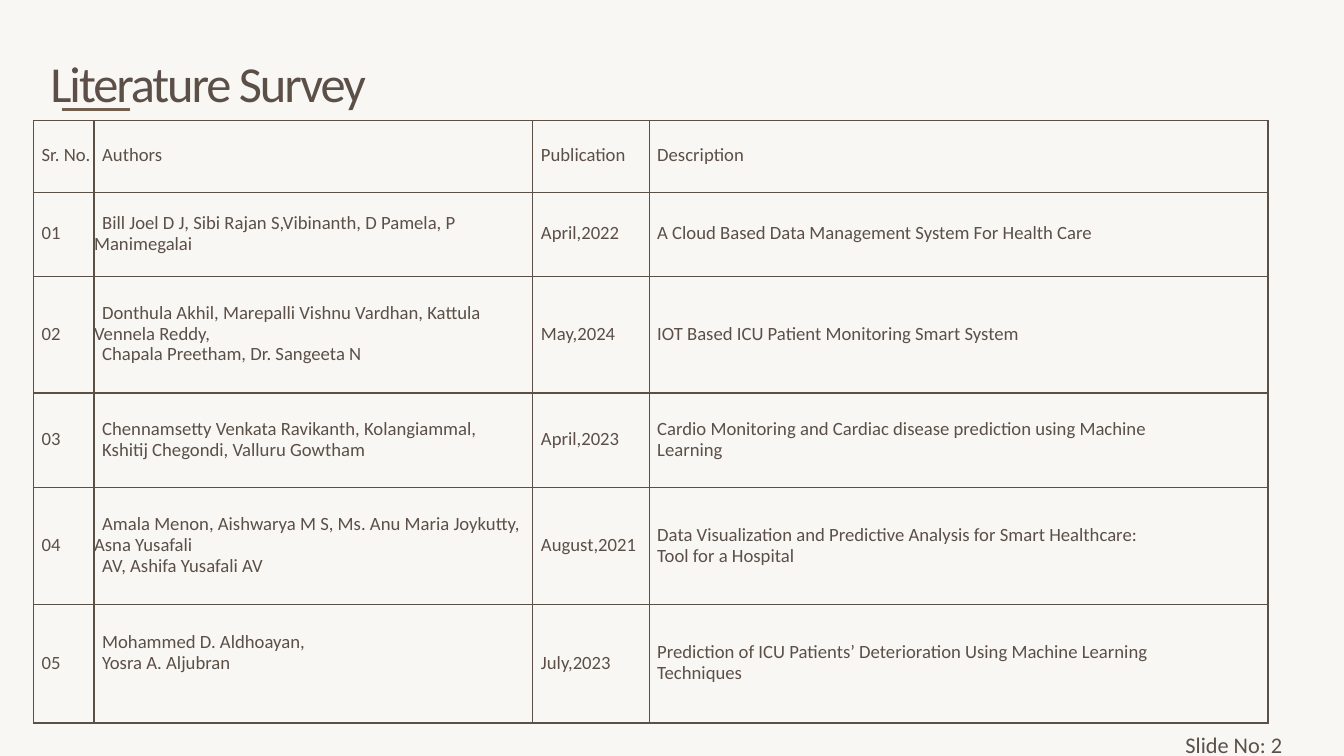
from lxml import etree
from pptx import Presentation
from pptx.dml.color import RGBColor
from pptx.enum.shapes import MSO_CONNECTOR
from pptx.enum.text import MSO_ANCHOR, PP_ALIGN
from pptx.oxml.ns import qn
from pptx.util import Inches, Pt

STRAIGHT = MSO_CONNECTOR.STRAIGHT
MIDDLE = MSO_ANCHOR.MIDDLE
LEFT = PP_ALIGN.LEFT
CENTER = PP_ALIGN.CENTER

FONT = "Calibri"
COLORS = {"background": "F8F7F4", "ink": "5B4F47", "accent": "745E4D"}
COLUMN_WIDTHS = [0.9, 6.53, 1.73, 9.21]
ROW_HEIGHTS = [1.07, 1.25, 1.74, 1.41, 1.74, 1.76]
CELL_LEADING = 22.4
FIRST_LINE_INDENT = 0.12

HEADINGS = ("Sr. No.", "Authors", "Publication", "Description")
PAPERS = [
    ("Bill Joel D J, Sibi Rajan S,Vibinanth, D Pamela, P Manimegalai",
     "April,2022",
     "A Cloud Based Data Management System For Health Care"),
    ("Donthula Akhil, Marepalli Vishnu Vardhan, Kattula Vennela Reddy,\n"
     "Chapala Preetham, Dr. Sangeeta N",
     "May,2024",
     "IOT Based ICU Patient Monitoring Smart System"),
    ("Chennamsetty Venkata Ravikanth, Kolangiammal,\n"
     "Kshitij Chegondi, Valluru Gowtham",
     "April,2023",
     "Cardio Monitoring and Cardiac disease prediction using Machine\nLearning"),
    ("Amala Menon, Aishwarya M S, Ms. Anu Maria Joykutty, Asna Yusafali\n"
     "AV, Ashifa Yusafali AV",
     "August,2021",
     "Data Visualization and Predictive Analysis for Smart Healthcare:\n"
     "Tool for a Hospital"),
    ("Mohammed D. Aldhoayan,\nYosra A. Aljubran",
     "July,2023",
     "Prediction of ICU Patients’ Deterioration Using Machine Learning\n"
     "Techniques"),
]


def color(name):
    """Return the named palette colour."""
    return RGBColor.from_string(COLORS[name])


def clear_margins(holder):
    """Remove the inner margins of a cell or text frame."""
    holder.margin_left = holder.margin_right = 0
    holder.margin_top = holder.margin_bottom = 0


def style_paragraph(paragraph, size, leading, align=LEFT):
    """Apply the slide's type style to a paragraph."""
    paragraph.alignment = align
    paragraph.line_spacing = Pt(leading)
    paragraph.font.name = FONT
    paragraph.font.size = Pt(size)
    paragraph.font.color.rgb = color("ink")


def add_label(slide, text, box, size, leading, align=LEFT, tracking=0):
    """Add a single line of text, with optional tracking in points."""
    frame = slide.shapes.add_textbox(*map(Inches, box)).text_frame
    frame.word_wrap = True
    clear_margins(frame)
    paragraph = frame.paragraphs[0]
    run = paragraph.add_run()
    run.text = text
    if tracking:
        run.font._element.set("spc", str(round(tracking * 100)))
    style_paragraph(paragraph, size, leading, align)


def add_rule(slide, start, end):
    """Add the short accent line under the title."""
    rule = slide.shapes.add_connector(STRAIGHT, *map(Inches, start + end))
    rule.line.color.rgb = color("accent")
    rule.line.width = Pt(2.25)
    etree.SubElement(rule._element.spPr, qn("a:effectLst"))


def add_borders(cell):
    """Draw a thin line on all four sides of a cell."""
    properties = cell._tc.get_or_add_tcPr()
    for side in ("lnL", "lnR", "lnT", "lnB"):
        line = etree.SubElement(properties, qn(f"a:{side}"), w=str(Pt(1.5)))
        fill = etree.SubElement(line, qn("a:solidFill"))
        etree.SubElement(fill, qn("a:srgbClr"), val=COLORS["ink"])


def fill_cell(cell, text):
    """Write one table cell, with a paragraph for each line of text."""
    add_borders(cell)
    cell.fill.background()
    clear_margins(cell)
    cell.vertical_anchor = MIDDLE
    cell.text = text
    for paragraph in cell.text_frame.paragraphs:
        style_paragraph(paragraph, 20, CELL_LEADING)
        paragraph._p.get_or_add_pPr().set("indent", str(Inches(FIRST_LINE_INDENT)))


def add_survey_table(slide, left, top):
    """Add the table of surveyed papers, numbered in order."""
    rows = [HEADINGS] + [(f"{number:02}", *paper)
                         for number, paper in enumerate(PAPERS, 1)]
    table = slide.shapes.add_table(
        len(rows), len(HEADINGS), Inches(left), Inches(top),
        Inches(sum(COLUMN_WIDTHS)), Inches(sum(ROW_HEIGHTS))).table
    table.first_row = table.horz_banding = False
    for column, width in zip(table.columns, COLUMN_WIDTHS):
        column.width = Inches(width)
    for row, height, texts in zip(table.rows, ROW_HEIGHTS, rows):
        row.height = Inches(height)
        for cell, text in zip(row.cells, texts):
            fill_cell(cell, text)
    last_authors = table.cell(len(PAPERS), 1)
    last_authors.margin_bottom = Pt(CELL_LEADING)


def main():
    """Build and save the literature survey slide."""
    deck = Presentation()
    deck.slide_width, deck.slide_height = Inches(20), Inches(11.25)
    slide = deck.slides.add_slide(deck.slide_layouts[6])
    slide.background.fill.solid()
    slide.background.fill.fore_color.rgb = color("background")
    add_rule(slide, (1.94, 1.63), (0.92, 1.63))
    add_survey_table(slide, 0.5, 1.79)
    add_label(slide, "Literature Survey", (0.75, 0.71, 10.23, 0.92),
              54, 69.1, tracking=-2.2)
    add_label(slide, "Slide No: 2", (17.5, 10.81, 1.72, 0.43),
              23.9, 33.4, CENTER)
    deck.save("out.pptx")


if __name__ == "__main__":
    main()
